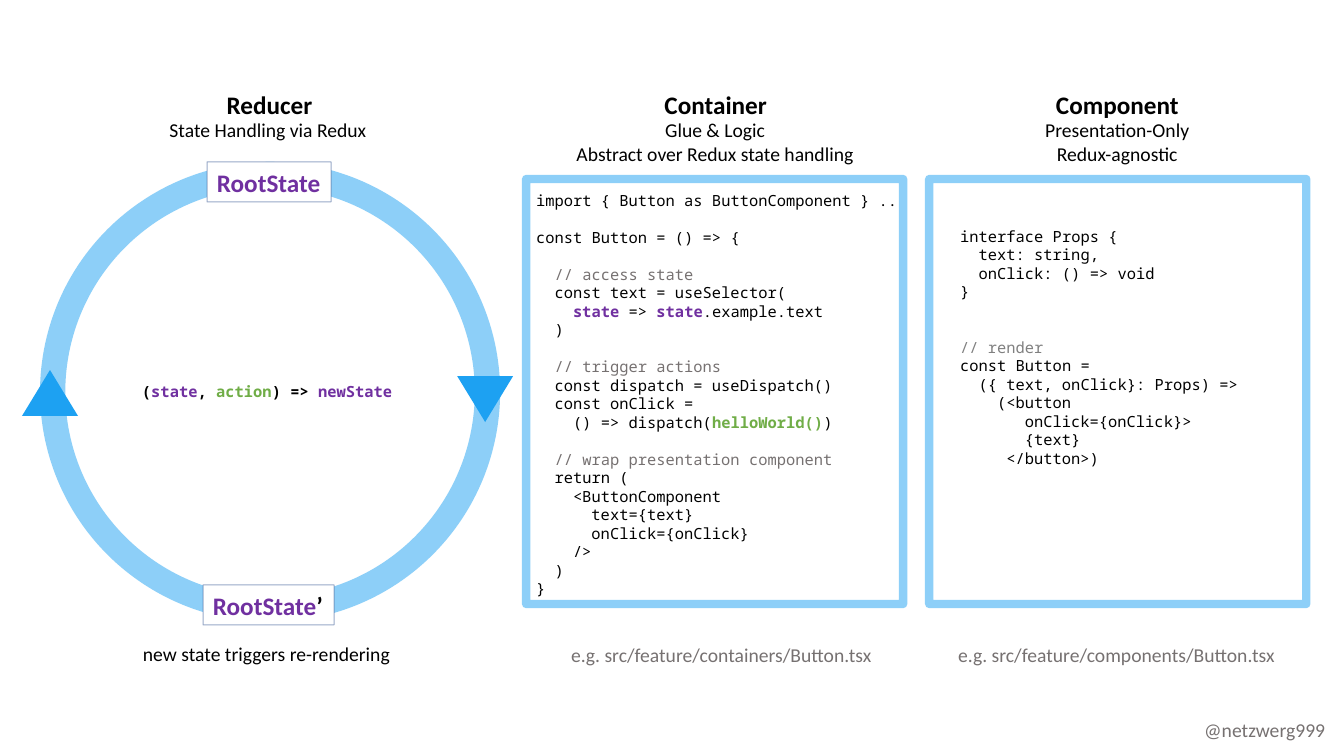
"""Build the Redux state cycle slide with its container and component code."""
from lxml.etree import SubElement
from pptx import Presentation
from pptx.dml.color import RGBColor
from pptx.enum.shapes import MSO_SHAPE as SHAPE
from pptx.enum.text import MSO_ANCHOR, MSO_AUTO_SIZE, PP_ALIGN as ALIGN
from pptx.oxml.ns import qn
from pptx.util import Emu, Inches, Pt

SCALE = 914400 / 100.8
SANS, MONO = "Calibri", "Noto Sans Mono"
CODE_LINE, CODE_CHAR = 13.2, 6.6
BLACK = RGBColor(0x00, 0x00, 0x00)
WHITE = RGBColor(0xFF, 0xFF, 0xFF)
BLUE = RGBColor(0x1D, 0xA1, 0xF2)
NAVY = RGBColor(0x32, 0x54, 0x91)
PURPLE = RGBColor(0x70, 0x30, 0xA0)
GREEN = RGBColor(0x70, 0xAD, 0x47)
GRAY = RGBColor(0x76, 0x71, 0x71)
MID_GRAY = RGBColor(0x80, 0x80, 0x80)
MARKS = {"S": (PURPLE, True), "A": (GREEN, True),
         "C": (GRAY, False), "R": (MID_GRAY, False)}

CONTAINER_CODE = """import { Button as ButtonComponent } ..

const Button = () => {

  |C// access state|
  const text = useSelector(
    |Sstate| => |Sstate|.example.text
  )

  |C// trigger actions|
  const dispatch = useDispatch()
  const onClick =
    () => dispatch(|AhelloWorld()|)

  |C// wrap presentation component|
  return (
    <ButtonComponent
      text={text}
      onClick={onClick}
    />
  )
}"""

COMPONENT_CODE = """interface Props {
  text: string,
  onClick: () => void
}


|R// render|
const Button =
  ({ text, onClick}: Props) =>
    (<button
       onClick={onClick}>
       {text}
     </button>)"""


def px(*values):
    """Turn picture pixels into EMU."""
    return [Emu(round(v * SCALE)) for v in values]


def fade(element):
    """Make every colour inside the element half transparent."""
    for clr in element.iter(qn("a:srgbClr")):
        SubElement(clr, qn("a:alpha"), val="50000")


def write(tf, text, size, font=SANS, bold=False, align=ALIGN.LEFT):
    """Fill a frame; |Xword| takes mark X, empty lines become spacing."""
    tf.word_wrap = False
    tf.auto_size = MSO_AUTO_SIZE.SHAPE_TO_FIT_TEXT
    tf.vertical_anchor = MSO_ANCHOR.TOP
    p, gap = None, 0
    for line in text.split("\n"):
        if not line:
            gap += 1
            continue
        p = tf.add_paragraph() if p else tf.paragraphs[0]
        p.alignment = align
        p.font.size, p.font.name = Pt(size), font
        if gap:
            p.space_before = Pt(gap * CODE_LINE)
        gap = 0
        code = line.lstrip()
        indent = len(line) - len(code)
        if indent:
            pPr = p._p.get_or_add_pPr()
            pPr.set("marL", str(Pt(indent * CODE_CHAR)))
            pPr.set("indent", "0")
        for i, part in enumerate(code.split("|")):
            if not part:
                continue
            color, strong = MARKS[part[0]] if i % 2 else (BLACK, False)
            r = p.add_run()
            r.text = part[1:] if i % 2 else part
            r.font.color.rgb = color
            r.font.bold = bold or strong


def add_text(s, box, text, size=14, **style):
    """Add a text box."""
    write(s.shapes.add_textbox(*px(*box)).text_frame, text, size, **style)


def add_shape(s, kind, box, fill=None, line=None, width=0.75):
    """Add a preset shape whose outline, if any, is half transparent."""
    sp = s.shapes.add_shape(kind, *px(*box))
    sp.shadow.inherit = False
    if fill is None:
        sp.fill.background()
    else:
        sp.fill.solid()
        sp.fill.fore_color.rgb = fill
    if line is None:
        sp.line.fill.background()
    else:
        sp.line.color.rgb = line
        sp.line.width = Pt(width)
        fade(sp._element.spPr.find(qn("a:ln")))
    return sp


def add_state(s, box, text):
    """Add a state label that sits on the ring."""
    sp = add_shape(s, SHAPE.RECTANGLE, box, WHITE, NAVY)
    write(sp.text_frame, text, 18, bold=True)


def add_heading(s, title_box, title, sub_box, subtitle):
    """Add a column title and its subtitle."""
    add_text(s, title_box, title, 18, bold=True, align=ALIGN.CENTER)
    add_text(s, sub_box, subtitle, align=ALIGN.CENTER)


def add_code(s, frame_left, box, code):
    """Add a code frame and its listing."""
    add_shape(s, SHAPE.RECTANGLE, (frame_left, 179, 377, 425), line=BLUE, width=6)
    add_text(s, box, code, 11, font=MONO)


def add_cycle(s):
    """Add the ring with its arrowheads, states and reducer signature."""
    ring = add_shape(s, SHAPE.DONUT, (40, 162, 460, 460), BLUE)
    ring.adjustments[0] = 0.055
    fade(ring._element.spPr)
    add_state(s, (207, 162, 124, 40), "|SRootState|")
    add_state(s, (203, 585, 131, 40), "|SRootState|’")
    add_text(s, (132, 377, 273, 29), "(|Sstate|, |Aaction|) => |SnewState|",
             11, font=MONO, bold=True)
    down = add_shape(s, SHAPE.ISOSCELES_TRIANGLE, (457, 376, 56, 46), BLUE)
    down.rotation = 180
    add_shape(s, SHAPE.ISOSCELES_TRIANGLE, (22, 370, 56, 46), BLUE)


def main():
    """Build and save the slide."""
    prs = Presentation()
    prs.slide_width, prs.slide_height = Inches(13.33), Inches(7.5)
    s = prs.slides.add_slide(prs.slide_layouts[6])

    add_heading(s, (216, 84, 107, 40), "Reducer",
                (158, 113, 220, 34), "State Handling via Redux")
    add_cycle(s)
    add_text(s, (133, 637, 270, 34), "new state triggers re-rendering")

    add_heading(s, (654, 84, 123, 40), "Container", (565, 113, 300, 57),
                "Glue & Logic\nAbstract over Redux state handling")
    add_code(s, 526, (526, 186, 395, 439), CONTAINER_CODE)
    add_text(s, (561, 638, 325, 34), "|Ce.g. src/feature/containers/Button.tsx|")

    add_heading(s, (1045, 84, 144, 40), "Component", (1034, 113, 166, 57),
                "Presentation-Only\nRedux-agnostic")
    add_code(s, 929, (950, 222, 301, 253), COMPONENT_CODE)
    add_text(s, (948, 638, 341, 34), "|Ce.g. src/feature/components/Button.tsx|")

    add_text(s, (1194, 713, 142, 34), "|C@netzwerg999|")
    prs.save("out.pptx")


main()
